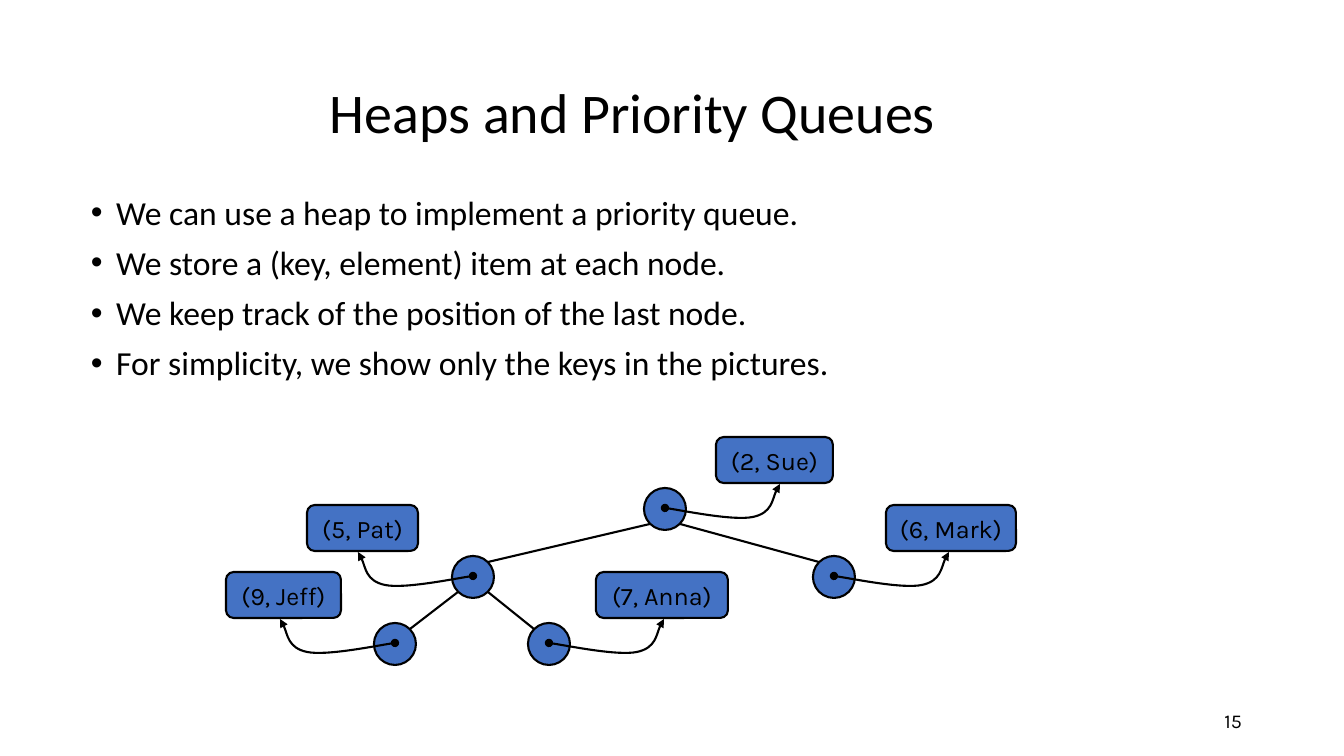
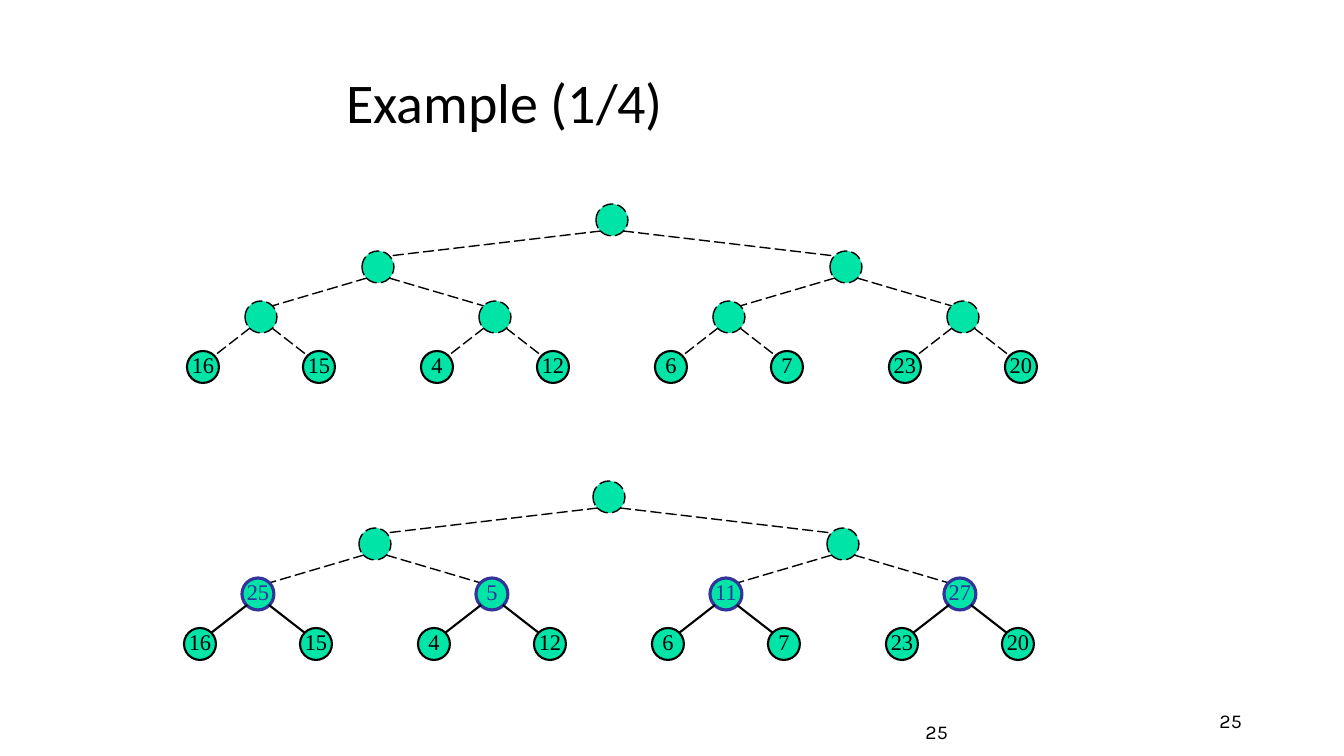
from collections import namedtuple

from lxml import etree
from pptx import Presentation
from pptx.dml.color import RGBColor
from pptx.enum.dml import MSO_LINE
from pptx.enum.shapes import MSO_CONNECTOR, MSO_SHAPE
from pptx.enum.text import MSO_ANCHOR, MSO_AUTO_SIZE, PP_ALIGN
from pptx.oxml.ns import qn
from pptx.util import Pt

# Shared scale, colours and fonts
EMU_PER_PIXEL = 914400 / 100.8
BLACK, BLUE, GREEN, INDIGO = "000000", "4472C4", "00E4A8", "333399"
BODY_FONT, LABEL_FONT, KEY_FONT = "Calibri", "Karla", "Times New Roman"

LEFT, CENTER, RIGHT = PP_ALIGN.LEFT, PP_ALIGN.CENTER, PP_ALIGN.RIGHT
TOP, MIDDLE, BOTTOM = MSO_ANCHOR.TOP, MSO_ANCHOR.MIDDLE, MSO_ANCHOR.BOTTOM
NO_AUTOFIT = MSO_AUTO_SIZE.NONE
OVAL, ROUNDED = MSO_SHAPE.OVAL, MSO_SHAPE.ROUNDED_RECTANGLE
STRAIGHT = MSO_CONNECTOR.STRAIGHT
LONG_DASH = MSO_LINE.LONG_DASH
TITLE_ONLY = 5

# Line styles
Stroke = namedtuple("Stroke", "color width dash")
SOLID = Stroke(BLACK, 1.5, None)
DASHED = Stroke(BLACK, 1, LONG_DASH)
ADDED = Stroke(INDIGO, 2.25, None)

# Priority queue slide
BULLETS = [
    "We can use a heap to implement a priority queue.",
    "We store a (key, element) item at each node.",
    "We keep track of the position of the last node.",
    "For simplicity, we show only the keys in the pictures.",
]
Item = namedtuple("Item", "center parent label box_left box_top box_width side")
ITEMS = [
    Item((665, 509), None, "(2, Sue)", 716, 437, 117, 1),
    Item((473, 577), 0, "(5, Pat)", 307, 505, 111, -1),
    Item((834, 577), 0, "(6, Mark)", 886, 505, 130, 1),
    Item((395, 644), 1, "(9, Jeff)", 226, 572, 115, -1),
    Item((549, 644), 1, "(7, Anna)", 596, 572, 132, 1),
]
ITEM_DIAMETER = 42
BOX_HEIGHT = 46
HOOK = [(15, 2), (69, 13), (88, 9), (107, 5), (109, -17), (115, -24)]

# Example slide: rows of keys, where None is a node still to be filled
LEAVES = [16, 15, 4, 12, 6, 7, 23, 20]
FIRST_TREE = [[None], [None] * 2, [None] * 4, LEAVES]
SECOND_TREE = [[None], [None] * 2, [25, 5, 11, 27], LEAVES]
ROW_OFFSETS = [0, 47, 97, 147]
CHILD_OFFSETS = [234, 117, 58]
KEY_DIAMETER = 32


def px(value):
    return round(value * EMU_PER_PIXEL)


def rgb(color):
    return RGBColor.from_string(color)


def apply_stroke(line, stroke):
    line.color.rgb = rgb(stroke.color)
    line.width = Pt(stroke.width)
    if stroke.dash:
        line.dash_style = stroke.dash


def add_bullet(paragraph):
    properties = paragraph._p.get_or_add_pPr()
    properties.set("marL", "228600")
    properties.set("indent", "-228600")
    etree.SubElement(properties, qn("a:buFont")).set("typeface", "Arial")
    etree.SubElement(properties, qn("a:buChar")).set("char", "\u2022")


def write_text(shape, lines, size, font, color=BLACK, align=LEFT, anchor=MIDDLE,
               wrap=True, insets=(10, 5, 10, 5), spacing=None, before=None,
               bullets=False):
    frame = shape.text_frame
    frame.auto_size = NO_AUTOFIT
    frame.word_wrap = wrap
    frame.vertical_anchor = anchor
    frame.margin_left, frame.margin_top, frame.margin_right, frame.margin_bottom = map(
        px, insets)
    for number, line in enumerate(lines):
        paragraph = frame.add_paragraph() if number else frame.paragraphs[0]
        paragraph.alignment = align
        if spacing:
            paragraph.line_spacing = spacing
        if before is not None:
            paragraph.space_before = Pt(before)
        if bullets:
            add_bullet(paragraph)
        run = paragraph.add_run()
        run.text = line
        run.font.size = Pt(size)
        run.font.name = font
        run.font.color.rgb = rgb(color)


def add_text(slide, box, lines, **text_format):
    write_text(slide.shapes.add_textbox(*map(px, box)), lines, **text_format)


def add_page_number(slide, number, box=(950, 701, 302, 40), anchor=MIDDLE):
    add_text(slide, box, [number], size=14, font=LABEL_FONT, align=RIGHT, anchor=anchor)


def add_titled_slide(presentation, title, box, number):
    slide = presentation.slides.add_slide(presentation.slide_layouts[TITLE_ONLY])
    shape = slide.shapes.title
    shape.left, shape.top, shape.width, shape.height = map(px, box)
    write_text(shape, [title], size=40, font=BODY_FONT, spacing=0.9)
    add_page_number(slide, number)
    return slide


def add_shape(slide, kind, box, fill, stroke):
    shape = slide.shapes.add_shape(kind, *map(px, box))
    shape.shadow.inherit = False
    shape.fill.solid()
    shape.fill.fore_color.rgb = rgb(fill)
    apply_stroke(shape.line, stroke)
    return shape


def add_node(slide, center, diameter, fill, stroke):
    x, y = center
    box = (x - diameter / 2, y - diameter / 2, diameter, diameter)
    return add_shape(slide, OVAL, box, fill, stroke)


def add_edge(slide, parent, child, diameter, stroke):
    """Join the lower diagonal of the parent to the upper one of the child."""
    reach = round(diameter / 2 * 0.71)
    side = reach if child[0] > parent[0] else -reach
    ends = (parent[0] + side, parent[1] + reach, child[0] - side, child[1] - reach)
    connector = slide.shapes.add_connector(STRAIGHT, *map(px, ends))
    apply_stroke(connector.line, stroke)
    etree.SubElement(connector._element.spPr, qn("a:effectLst"))


def add_hook(slide, center, side):
    """Draw a curved arrow from a node up to its label."""
    x, y = center[0], center[1] - 1
    builder = slide.shapes.build_freeform(x, y, scale=EMU_PER_PIXEL)
    builder.add_line_segments([(x + side * dx, y + dy) for dx, dy in HOOK], close=False)
    shape = builder.convert_to_shape()
    shape.shadow.inherit = False
    shape.fill.background()
    apply_stroke(shape.line, SOLID)

    # Every three points become one cubic curve
    outline = next(shape._element.iter(qn("a:path")))
    segments = outline.findall(qn("a:lnTo"))
    for start in range(0, len(segments), 3):
        curve = etree.SubElement(outline, qn("a:cubicBezTo"))
        for segment in segments[start:start + 3]:
            curve.append(segment[0])
            outline.remove(segment)

    line = shape.line._get_or_add_ln()
    etree.SubElement(line, qn("a:headEnd")).set("type", "oval")
    etree.SubElement(line, qn("a:tailEnd")).set("type", "triangle")


def add_label(slide, item):
    box = (item.box_left, item.box_top, item.box_width, BOX_HEIGHT)
    shape = add_shape(slide, ROUNDED, box, BLUE, SOLID)
    write_text(shape, [item.label], size=18, font=LABEL_FONT, align=CENTER, wrap=False)


def add_key_tree(slide, root, rows):
    parents = []
    for level, keys in enumerate(rows):
        centers = []
        for index, key in enumerate(keys):
            center = root
            if level:
                parent = parents[index // 2]
                side = 1 if index % 2 else -1
                center = (parent[0] + side * CHILD_OFFSETS[level - 1],
                          root[1] + ROW_OFFSETS[level])
                filled = rows[level - 1][index // 2] is not None
                add_edge(slide, parent, center, KEY_DIAMETER, SOLID if filled else DASHED)
            centers.append(center)

            is_leaf = level == len(rows) - 1
            stroke = DASHED if key is None else SOLID if is_leaf else ADDED
            node = add_node(slide, center, KEY_DIAMETER, GREEN, stroke)
            if key is not None:
                write_text(node, [str(key)], size=16, font=KEY_FONT, color=stroke.color,
                           align=CENTER, wrap=False, insets=(0, 0, 0, 5))
        parents = centers


def build_priority_queue_slide(presentation):
    slide = add_titled_slide(presentation, "Heaps and Priority Queues",
                             (320, 68, 697, 94), "15")
    add_text(slide, (81, 191, 865, 210), BULLETS, size=24, font=BODY_FONT, anchor=TOP,
             spacing=0.9, before=10, bullets=True)
    for item in ITEMS:
        add_node(slide, item.center, ITEM_DIAMETER, BLUE, SOLID)
        if item.parent is not None:
            add_edge(slide, ITEMS[item.parent].center, item.center, ITEM_DIAMETER, SOLID)
        add_label(slide, item)
    for item in ITEMS:
        add_hook(slide, item.center, item.side)


def build_example_slide(presentation):
    slide = add_titled_slide(presentation, "Example (1/4)", (336, 42, 461, 126), "25")
    add_page_number(slide, "25", box=(748, 698, 210, 50), anchor=BOTTOM)
    add_key_tree(slide, (612, 220), FIRST_TREE)
    add_key_tree(slide, (609, 497), SECOND_TREE)


def main():
    presentation = Presentation()
    presentation.slide_width, presentation.slide_height = px(1344), px(756)
    build_priority_queue_slide(presentation)
    build_example_slide(presentation)
    presentation.save("out.pptx")


main()
